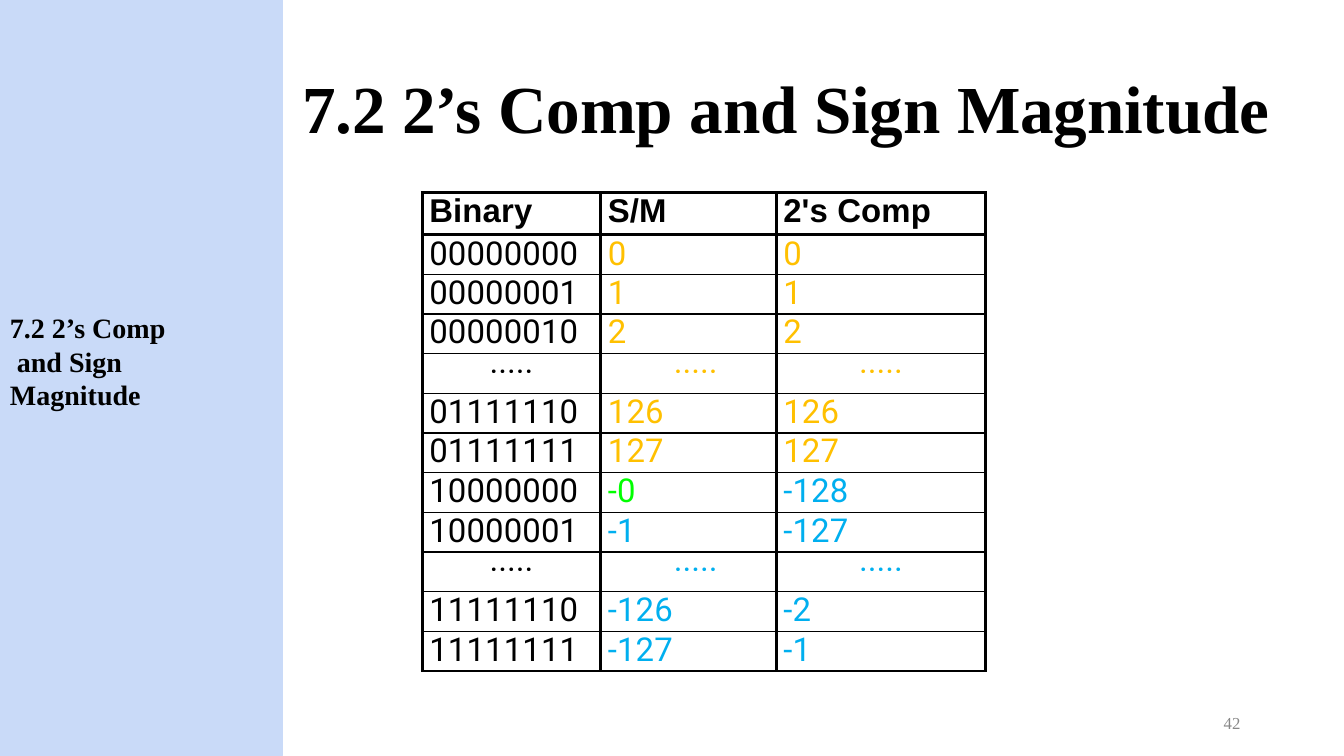
import pptx
import pptx.util
import pptx.dml.color
import pptx.enum.shapes
import pptx.enum.text
import pptx.oxml.ns
from lxml import etree

Cm = pptx.util.Cm
Pt = pptx.util.Pt
RGBColor = pptx.dml.color.RGBColor
ALIGN = pptx.enum.text.PP_ALIGN

BLACK = RGBColor(0x00, 0x00, 0x00)
GOLD = RGBColor(0xFF, 0xC0, 0x00)
GREEN = RGBColor(0x00, 0xFF, 0x00)
BLUE = RGBColor(0x00, 0xAF, 0xEF)
GREY = RGBColor(0x88, 0x88, 0x88)
PALE_BLUE = RGBColor(0xC9, 0xDA, 0xF8)

SERIF = "Times New Roman"
TITLE = "7.2 2’s Comp and Sign Magnitude"
SIDE_LABEL = "7.2 2’s Comp\v and Sign\vMagnitude"
PAGE_NUMBER = "42"
DOTS = "·····"
ROWS = [
    ("Binary", "S/M", "2's Comp"),
    ("00000000", "0", "0"),
    ("00000001", "1", "1"),
    ("00000010", "2", "2"),
    (DOTS, DOTS, DOTS),
    ("01111110", "126", "126"),
    ("01111111", "127", "127"),
    ("10000000", "-0", "-128"),
    ("10000001", "-1", "-127"),
    (DOTS, DOTS, DOTS),
    ("11111110", "-126", "-2"),
    ("11111111", "-127", "-1"),
]
FIRST_NEGATIVE_ROW = 7
COLUMN_WIDTHS = (4.5, 4.42, 5.28)
HEADER_HEIGHT, ROW_HEIGHT = 1.06, 1.0
DOT_ALIGNMENTS = (ALIGN.CENTER, ALIGN.RIGHT, ALIGN.CENTER)
DOT_RIGHT_MARGINS = (0, 1.48, 0)


def format_text(paragraph, font_name, size, color, bold=False, spacing=0):
    for run in paragraph.runs:
        run.font.name = font_name
        run.font.size = Pt(size)
        run.font.color.rgb = color
        run.font.bold = bold
        run.font._element.set("spc", str(spacing))


def clear_margins(frame):
    frame.margin_left = frame.margin_right = 0
    frame.margin_top = frame.margin_bottom = 0


def fill_box(shape, text, size, color, bold, spacing=0):
    frame = shape.text_frame
    frame.word_wrap = True
    frame.auto_size = pptx.enum.text.MSO_AUTO_SIZE.NONE
    frame.vertical_anchor = pptx.enum.text.MSO_ANCHOR.TOP
    clear_margins(frame)
    frame.margin_top = Cm(0.03)
    frame.text = text
    paragraph = frame.paragraphs[0]
    paragraph.alignment = ALIGN.LEFT
    format_text(paragraph, SERIF, size, color, bold, spacing)


def set_borders(cell, top, bottom):
    properties = cell._tc.get_or_add_tcPr()
    for side, width in (("L", 2.25), ("R", 2.25), ("T", top), ("B", bottom)):
        line = etree.SubElement(properties, pptx.oxml.ns.qn("a:ln" + side), w=str(Pt(width)))
        fill = etree.SubElement(line, pptx.oxml.ns.qn("a:solidFill"))
        etree.SubElement(fill, pptx.oxml.ns.qn("a:srgbClr"), val=str(BLACK))


def value_color(row, column):
    if row == 0 or column == 0:
        return BLACK
    if ROWS[row][column] == "-0":
        return GREEN
    return BLUE if row >= FIRST_NEGATIVE_ROW else GOLD


def fill_cell(cell, row, column):
    text = ROWS[row][column]
    clear_margins(cell)
    thick_top = row in (0, 1)
    thick_bottom = row in (0, len(ROWS) - 1)
    set_borders(cell, 2.25 if thick_top else 1, 2.25 if thick_bottom else 1)
    cell.fill.background()
    cell.text_frame.text = text
    paragraph = cell.text_frame.paragraphs[0]
    if text == DOTS:
        paragraph.alignment = DOT_ALIGNMENTS[column]
        cell.margin_right = Cm(DOT_RIGHT_MARGINS[column])
    else:
        paragraph._p.get_or_add_pPr().set("marL", str(Cm(0.18)))
    if row > 0:
        paragraph.line_spacing = Pt(27.9 if row == 1 else 27.1)
    font_name = "Arial" if row == 0 else "Roboto"
    format_text(paragraph, font_name, 23.5, value_color(row, column), row == 0, 10)


def add_number_table(slide):
    height = HEADER_HEIGHT + ROW_HEIGHT * (len(ROWS) - 1)
    frame = slide.shapes.add_table(
        len(ROWS), len(COLUMN_WIDTHS),
        Cm(10.64), Cm(4.85), Cm(sum(COLUMN_WIDTHS)), Cm(height),
    )
    table = frame.table
    table.first_row = table.horz_banding = False
    for column, width in enumerate(COLUMN_WIDTHS):
        table.columns[column].width = Cm(width)
    for row in range(len(ROWS)):
        table.rows[row].height = Cm(HEADER_HEIGHT if row == 0 else ROW_HEIGHT)
        for column in range(len(COLUMN_WIDTHS)):
            fill_cell(table.cell(row, column), row, column)


def main():
    presentation = pptx.Presentation()
    presentation.slide_width = Cm(33.87)
    presentation.slide_height = Cm(19.05)
    slide = presentation.slides.add_slide(presentation.slide_layouts[5])

    sidebar = slide.shapes.add_shape(
        pptx.enum.shapes.MSO_SHAPE.RECTANGLE, 0, 0, Cm(7.11), presentation.slide_height
    )
    sidebar.shadow.inherit = False
    sidebar.fill.solid()
    sidebar.fill.fore_color.rgb = PALE_BLUE
    sidebar.line.color.rgb = PALE_BLUE
    sidebar.line.width = Pt(0.75)

    add_number_table(slide)

    title = slide.shapes.title
    title.left, title.top, title.width, title.height = Cm(7.62), Cm(1.65), Cm(24.8), Cm(2.11)
    fill_box(title, TITLE, 48, BLACK, True, -10)

    side_label = slide.shapes.add_textbox(Cm(0.25), Cm(7.8), Cm(4.2), Cm(2.62))
    fill_box(side_label, SIDE_LABEL, 20, BLACK, True)

    page_number = slide.shapes.add_textbox(Cm(30.84), Cm(17.93), Cm(0.8), Cm(0.51))
    fill_box(page_number, PAGE_NUMBER, 12, GREY, False)

    presentation.save("out.pptx")


if __name__ == "__main__":
    main()
